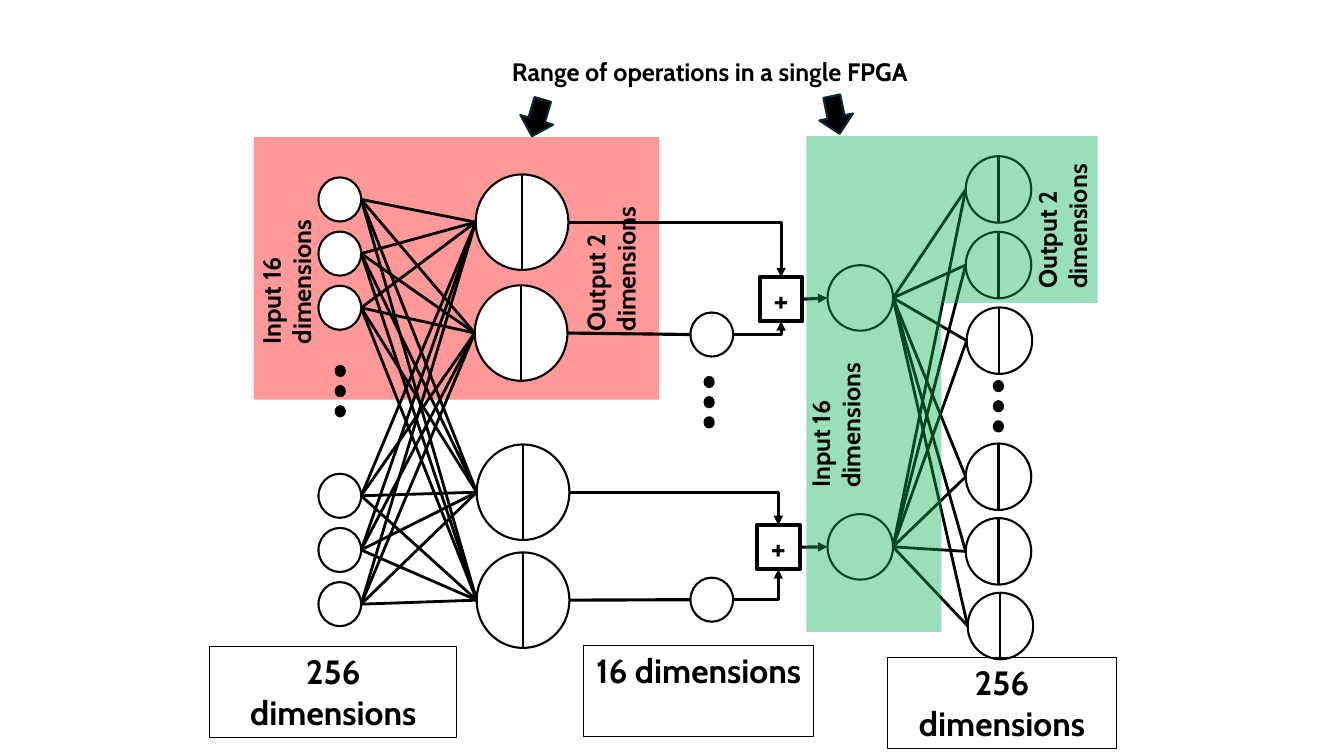
from collections import namedtuple
from dataclasses import dataclass
from itertools import product

from lxml.etree import SubElement
from pptx import Presentation
from pptx.dml.color import RGBColor as RGB
from pptx.enum.shapes import MSO_CONNECTOR as Wire, MSO_SHAPE as Form
from pptx.enum.text import MSO_ANCHOR as Anchor, PP_ALIGN as Align
from pptx.oxml.ns import qn
from pptx.util import Pt

Box = namedtuple("Box", "x y w h")


@dataclass(frozen=True)
class Theme:
    font: str = "Cabin"
    ink: RGB = RGB(0, 0, 0)
    paper: RGB = RGB(255, 255, 255)
    red: RGB = RGB(255, 0, 0)
    green: RGB = RGB(0, 0xB0, 0x50)
    edge: RGB = RGB(0x09, 0x2A, 0x39)
    alpha: int = 40
    note: int = 18
    big: int = 24
    thin: float = 0.75
    rim: float = 1.5
    mesh: float = 2
    flow: float = 2.25
    bold: float = 3


T = Theme()
NODE = (30.5, 31.5)
NEURON = (66.2, 68.2)
OUTPUT = (46.8, 47.5)

deck = Presentation()
deck.slide_width, deck.slide_height = Pt(960), Pt(540)
shapes = deck.slides.add_slide(deck.slide_layouts[6]).shapes


def draw(form, box, fill=None, line=None, width=T.rim):
    shape = shapes.add_shape(form, *map(Pt, box))
    shape.shadow.inherit = False
    if fill is None:
        shape.fill.background()
    else:
        shape.fill.solid()
        shape.fill.fore_color.rgb = fill
    if line is None:
        shape.line.fill.background()
    else:
        shape.line.color.rgb = line
        shape.line.width = Pt(width)
    return shape


def panel(box, color):
    """Draw a see-through area."""
    shape = draw(Form.RECTANGLE, box, color)
    tone = shape.fill._xPr.find(".//" + qn("a:srgbClr"))
    SubElement(tone, qn("a:alpha"), val=str(T.alpha * 1000))


def link(start, end, width=T.mesh, arrow=False, bent=False):
    """Join two points; a bent link runs sideways, then up or down."""
    kind = Wire.ELBOW if bent else Wire.STRAIGHT
    line = shapes.add_connector(kind, *map(Pt, (*start, *end)))
    line.line.color.rgb = T.ink
    line.line.width = Pt(width)
    props = line._element.spPr
    if bent:
        props.find(qn("a:prstGeom")).set("prst", "bentConnector2")
    if arrow:
        SubElement(props.find(qn("a:ln")), qn("a:tailEnd"), type="triangle")
    SubElement(props, qn("a:effectLst"))
    return line


def left(box):
    return box.x, box.y + box.h / 2


def right(box):
    return box.x + box.w, box.y + box.h / 2


def write(shape, text, size, align=Align.LEFT, anchor=Anchor.TOP):
    frame = shape.text_frame
    frame.word_wrap = True
    frame.vertical_anchor = anchor
    frame.text = text
    para = frame.paragraphs[0]
    para.alignment = align
    para.font.name, para.font.size = T.font, Pt(size)
    para.font.bold, para.font.color.rgb = True, T.ink


def note(text, box, turn=0):
    shape = shapes.add_textbox(*map(Pt, box))
    shape.rotation = turn
    write(shape, text, T.note)


def side_note(text, x, y):
    """Write two lines that read upward."""
    note(text, Box(x, y, 144, 51), 270)


def circle(box):
    draw(Form.OVAL, box, T.paper, T.ink)


def split(box):
    """Draw a circle halved by an upright line."""
    circle(box)
    mid = box.x + box.w / 2
    link((mid, box.y), (mid, box.y + box.h), T.rim)


def dots(x, y):
    for row in range(3):
        draw(Form.OVAL, Box(x, y + row * 14.4, 6.5, 7.2), T.ink, T.ink)


def mesh(sources, targets):
    for a, b in product(sources, targets):
        link(right(a), left(b))


def first_layer(box):
    """Draw inputs and neurons; return the neuron boxes."""
    panel(box._replace(h=187.5), T.red)
    inputs = [Box(box.x + 46.1, box.y + top + row * 38.7, *NODE)
              for top in (28.8, 240.5) for row in range(3)]
    spots = ((158.4, 26.7), (157.7, 105.9), (159.1, 219.6), (159.1, 296.7))
    neurons = [Box(box.x + dx, box.y + dy, *NEURON) for dx, dy in spots]
    mesh(inputs, neurons)
    for node in inputs:
        circle(node)
    for neuron in neurons:
        split(neuron)
    dots(box.x + 58.4, box.y + 163.5)
    side_note("Input 16 dimensions", box.x - 48.9, box.y + 57.6)
    side_note("Output 2 dimensions", box.x + 182.9, box.y + 48.3)
    return neurons


def adder(box, upper, lower, node):
    """Sum two neurons: adder at top right of the box, circle at bottom left."""
    wide, high = NODE
    plus = Box(box.x + box.w - wide, box.y, wide, high)
    carry = Box(box.x, box.y + box.h - high, wide, high)
    mid = plus.x + wide / 2
    square = draw(Form.RECTANGLE, plus, None, T.ink, T.bold)
    write(square, "+", T.big, Align.CENTER, Anchor.MIDDLE)
    link(right(lower), left(carry), T.flow)
    circle(carry)
    link(right(upper), (mid, plus.y), T.flow, True, True)
    link(right(carry), (mid, plus.y + high), T.flow, True, True)
    link(right(plus), left(node), T.flow, True).begin_connect(square, 3)


def second_layer(box, hidden):
    outputs = [Box(box.x + 113.8 + shift, box.y + top, *OUTPUT)
               for shift, top in ((0, 14.4), (0, 68.4), (0.7, 122.4),
                                  (0, 219.6), (0, 272.9), (1.4, 326.2))]
    mesh(hidden, outputs)
    for node in hidden:
        circle(node)
    for node in outputs:
        split(node)
    dots(box.x + 133.9, box.y + 175)
    panel(box._replace(h=119.2), T.green)
    panel(Box(box.x, box.y + 119.2, 96.5, box.h - 119.2), T.green)
    side_note("Input 16 dimensions", box.x - 51.1, box.y + 160.6)
    side_note("Output 2 dimensions", box.x + 110.9, box.y + 18.7)


def size_tag(text, box):
    shape = draw(Form.RECTANGLE, box, None, T.ink, T.thin)
    write(shape, text, T.big, Align.CENTER)


def heading(box):
    note("Range of operations in a single FPGA", box)
    for dx, dy, turn in ((13, 33.8, 16.5), (226.1, 31.7, 348.2)):
        arrow = draw(Form.DOWN_ARROW, Box(box.x + dx, box.y + dy, 24.5, 27.4),
                     T.ink, T.edge)
        arrow.rotation = turn


def main():
    neurons = first_layer(Box(181.4, 97.9, 289.4, 365))
    hidden = [Box(591.1, y, 46.8, 46.8) for y in (189.4, 367.2)]
    adder(Box(493.2, 198, 80, 56.7), *neurons[:2], hidden[0])
    adder(Box(493.2, 375.1, 78, 69), *neurons[2:], hidden[1])
    dots(503.3, 269.3)
    second_layer(Box(576, 97.2, 208.1, 354.2), hidden)
    size_tag("256 dimensions", Box(149.8, 461.5, 176.4, 65.5))
    size_tag("16 dimensions", Box(416.9, 460.8, 164.2, 65.5))
    size_tag("256 dimensions", Box(633.6, 469.4, 164.2, 65.5))
    heading(Box(358.6, 36.7, 313.9, 28.8))
    deck.save("out.pptx")


if __name__ == "__main__":
    main()
